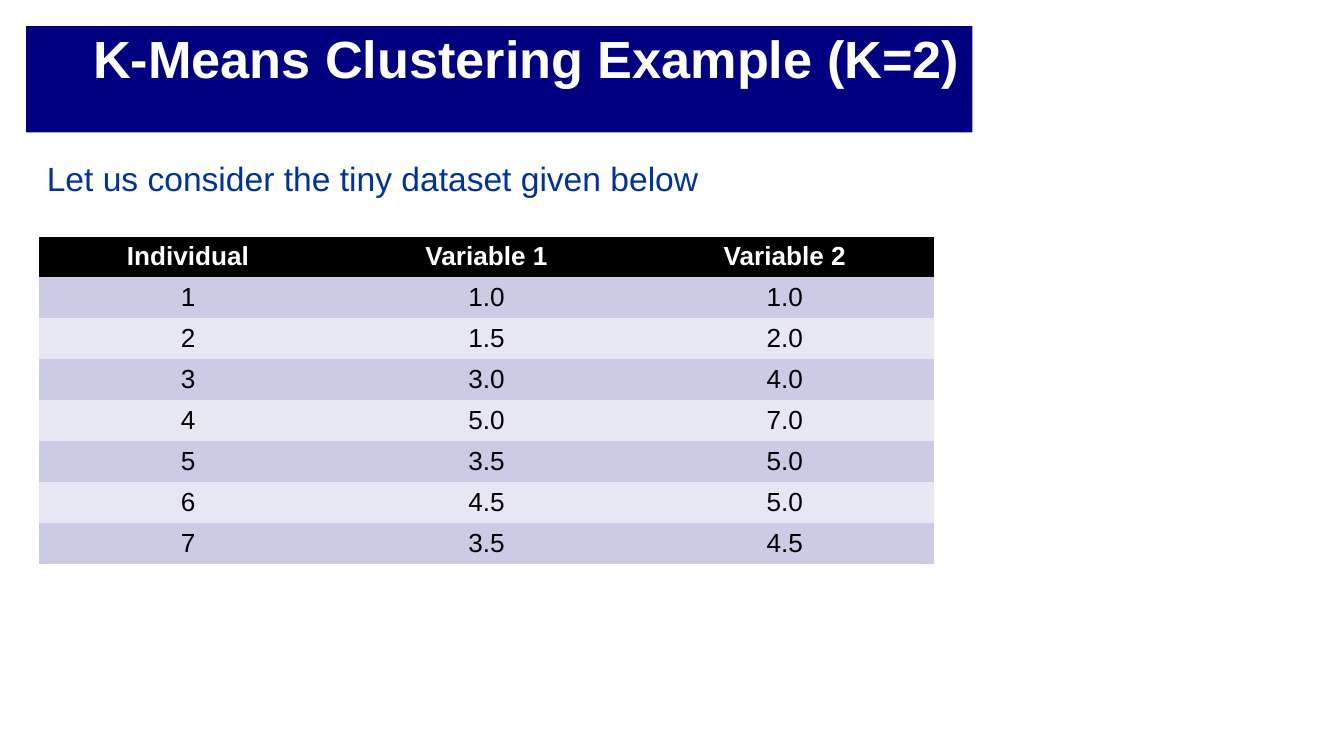
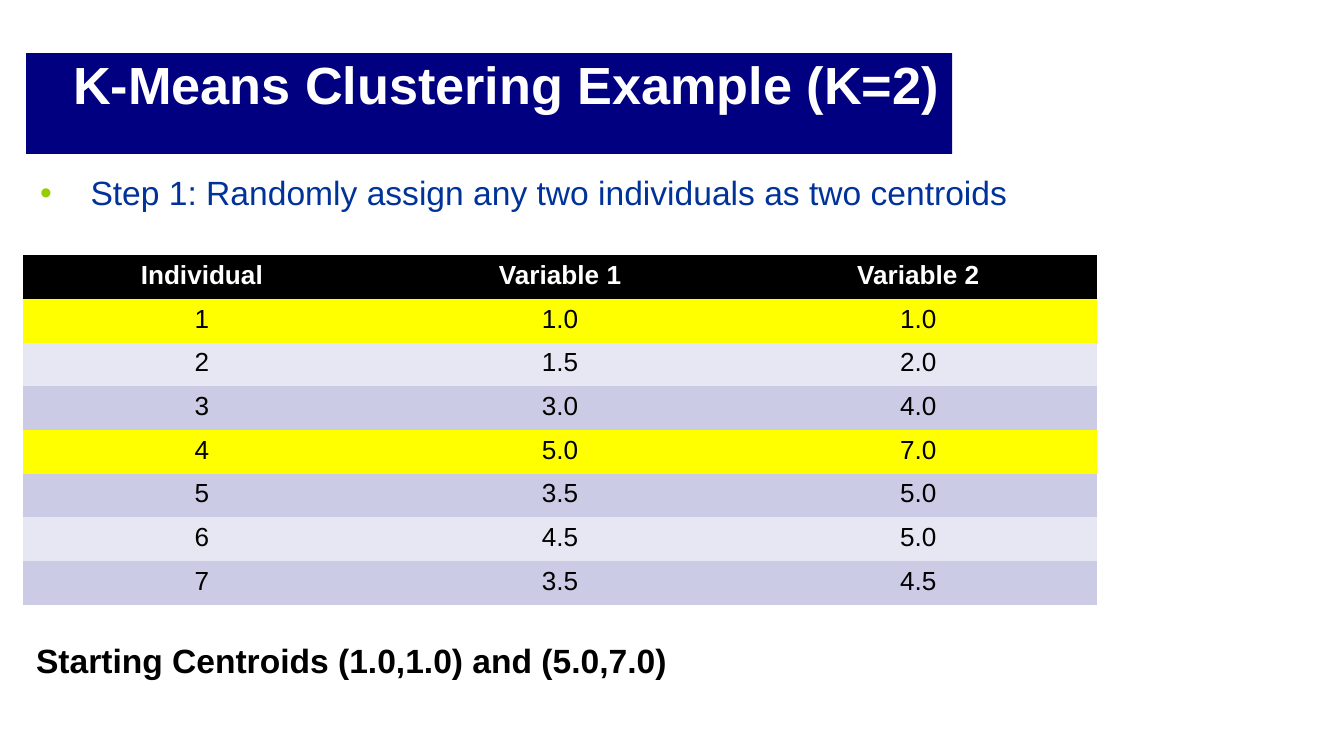
from pptx import Presentation
from pptx.dml.color import RGBColor
from pptx.enum.text import MSO_ANCHOR, MSO_AUTO_SIZE, PP_ALIGN
from pptx.oxml.ns import qn
from pptx.util import Pt
from lxml import etree

LEFT, CENTER, RIGHT = PP_ALIGN.LEFT, PP_ALIGN.CENTER, PP_ALIGN.RIGHT
TOP = MSO_ANCHOR.TOP
FIXED = MSO_AUTO_SIZE.NONE

PX = 4572
FONT = "Arial"
PLAIN = "{2D5ABB26-0587-4C30-8999-92F81FD0307C}"
COLORS = {
    "navy": "000080",
    "blue": "003399",
    "green": "99CC00",
    "white": "FFFFFF",
    "black": "000000",
    "band": "CBCBE5",
    "pale": "E7E7F3",
    "mark": "FFFF00",
}

TITLE = "K-Means Clustering Example (K=2)"
HEAD = ("Individual", "Variable 1", "Variable 2")
DATA = (
    (1.0, 1.0),
    (1.5, 2.0),
    (3.0, 4.0),
    (5.0, 7.0),
    (3.5, 5.0),
    (4.5, 5.0),
    (3.5, 4.5),
)


def px(n):
    return n * PX


def rgb(name):
    return RGBColor.from_string(COLORS[name])


def write(frame, text, size=18, color="black", bold=False, align=LEFT, lead=None):
    para = frame.paragraphs[0]
    para.alignment = align
    if lead:
        para.line_spacing = lead
    run = para.add_run()
    run.text = text
    font = run.font
    font.name, font.size, font.bold = FONT, Pt(size), bold
    font.color.rgb = rgb(color)
    return para


def bullet(para, indent, color):
    props = para._p.get_or_add_pPr()
    props.set("marL", str(px(indent)))
    props.set("indent", str(-px(indent)))
    tint = etree.SubElement(props, qn("a:buClr"))
    etree.SubElement(tint, qn("a:srgbClr")).set("val", COLORS[color])
    etree.SubElement(props, qn("a:buFont")).set("typeface", FONT)
    etree.SubElement(props, qn("a:buChar")).set("char", "•")


class Deck:
    def __init__(self, wide, high):
        self.file = Presentation()
        self.file.slide_width = px(wide)
        self.file.slide_height = px(high)
        self.slide = None

    def page(self):
        self.slide = self.file.slides.add_slide(self.file.slide_layouts[5])
        fill = self.slide.background.fill
        fill.solid()
        fill.fore_color.rgb = rgb("white")

    def frame(self, shape):
        frame = shape.text_frame
        frame.word_wrap = True
        frame.auto_size = FIXED
        frame.vertical_anchor = TOP
        frame.margin_left = frame.margin_right = px(20)
        frame.margin_top = frame.margin_bottom = px(10)
        return frame

    def title(self, text, x, y, w, h):
        shape = self.slide.shapes.title
        shape.left, shape.top = px(x), px(y)
        shape.width, shape.height = px(w), px(h)
        shape.fill.solid()
        shape.fill.fore_color.rgb = rgb("navy")
        write(self.frame(shape), text, size=28, color="white",
              bold=True, align=RIGHT, lead=0.9)

    def text(self, text, x, y, w, h, **style):
        box = self.slide.shapes.add_textbox(px(x), px(y), px(w), px(h))
        return write(self.frame(box), text, **style)

    def cell(self, cell, text, fill, **style):
        cell.fill.solid()
        cell.fill.fore_color.rgb = rgb(fill)
        cell.margin_left = cell.margin_right = px(20)
        cell.margin_top = cell.margin_bottom = px(8)
        cell.vertical_anchor = TOP
        write(cell.text_frame, text, size=14, align=CENTER, **style)

    def table(self, x, y, col, row, marks=()):
        rows, cols = len(DATA) + 1, len(HEAD)
        shape = self.slide.shapes.add_table(
            rows, cols, px(x), px(y), px(col * cols), px(row * rows))
        grid = shape.table
        grid._tbl.tblPr.find(qn("a:tableStyleId")).text = PLAIN
        for item in grid.columns:
            item.width = px(col)
        for item in grid.rows:
            item.height = px(row)
        for c, name in enumerate(HEAD):
            self.cell(grid.cell(0, c), name, "black", color="white", bold=True)
        for r, pair in enumerate(DATA, 1):
            fill = "mark" if r in marks else "band" if r % 2 else "pale"
            for c, value in enumerate((r, *pair)):
                self.cell(grid.cell(r, c), str(value), fill)


def main():
    deck = Deck(2000, 1125)

    deck.page()
    deck.title(TITLE, 39, 39, 1408, 158)
    deck.text("Let us consider the tiny dataset given below",
              50, 232, 1906, 84, color="blue", lead=0.9)
    deck.table(58, 352, 444, 61)

    deck.page()
    deck.title(TITLE, 39, 79, 1378, 150)
    step = deck.text("Step 1: Randomly assign any two individuals as two centroids",
                     40, 253, 1922, 134, color="blue", lead=0.9)
    bullet(step, 75, "green")
    deck.table(34, 380, 533, 65, marks=(1, 4))
    deck.text("Starting Centroids (1.0,1.0) and (5.0,7.0)",
              34, 943, 1926, 60, bold=True)

    deck.file.save("out.pptx")


if __name__ == "__main__":
    main()
